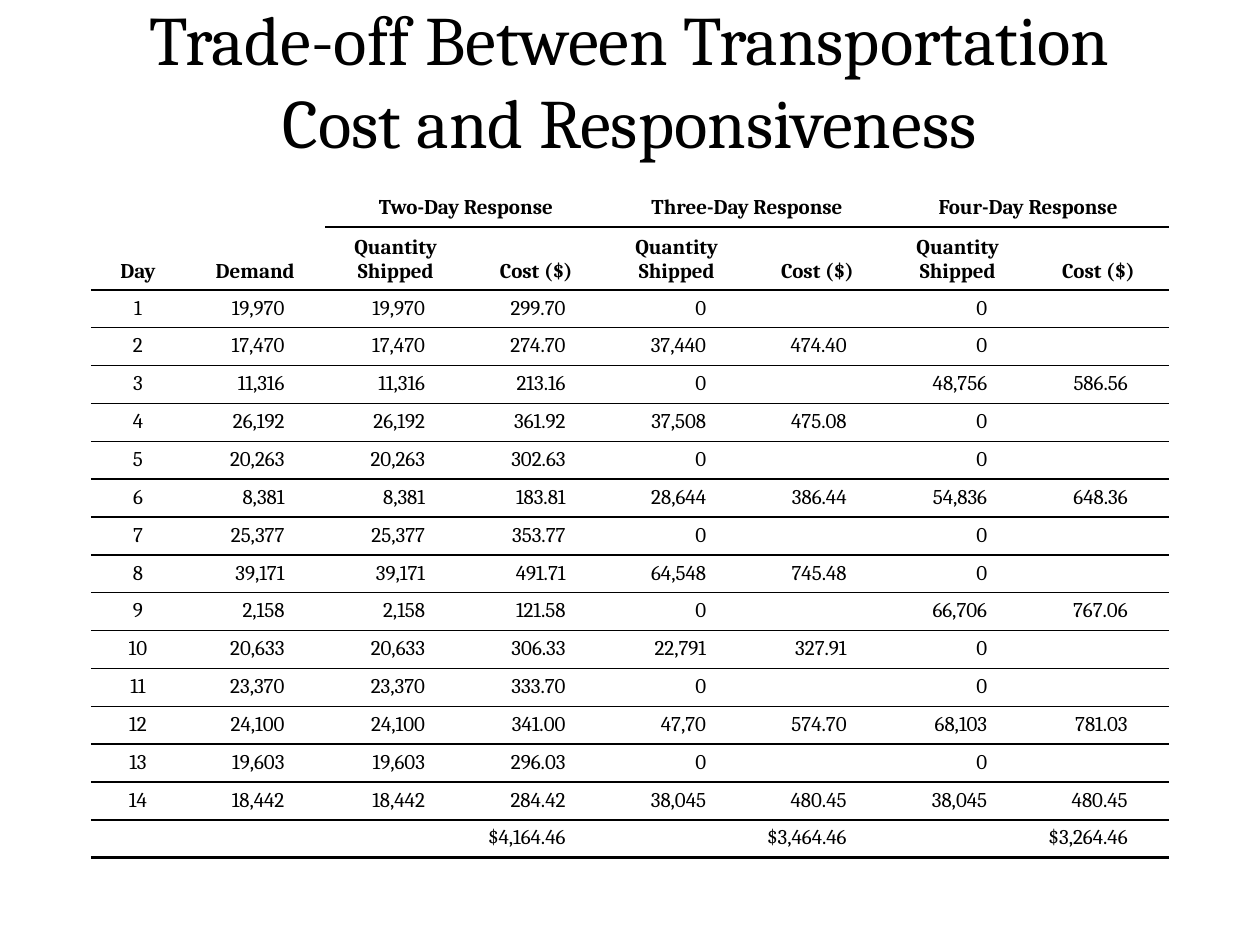
from lxml import etree
from pptx import Presentation, util as u
from pptx.dml import color
from pptx.enum import text
from pptx.oxml import ns

PX = u.Inches(1) / 126
FONT, BLACK = "Cambria", "000000"
ALIGN, ANCHOR = text.PP_ALIGN, text.MSO_ANCHOR
TITLE = "Trade-off Between Transportation Cost and Responsiveness"
GROUPS = ("Two-Day Response", "Three-Day Response", "Four-Day Response")
HEADS = ["Day", "Demand"] + ["Quantity Shipped", "Cost ($)"] * len(GROUPS)
# Demand and two-day quantity are equal, so each row gives them once:
# demand, two-day cost, three-day quantity and cost, four-day quantity and cost
DAYS = [
    ("19,970", "299.70", "0", "", "0", ""),
    ("17,470", "274.70", "37,440", "474.40", "0", ""),
    ("11,316", "213.16", "0", "", "48,756", "586.56"),
    ("26,192", "361.92", "37,508", "475.08", "0", ""),
    ("20,263", "302.63", "0", "", "0", ""),
    ("8,381", "183.81", "28,644", "386.44", "54,836", "648.36"),
    ("25,377", "353.77", "0", "", "0", ""),
    ("39,171", "491.71", "64,548", "745.48", "0", ""),
    ("2,158", "121.58", "0", "", "66,706", "767.06"),
    ("20,633", "306.33", "22,791", "327.91", "0", ""),
    ("23,370", "333.70", "0", "", "0", ""),
    ("24,100", "341.00", "47,70", "574.70", "68,103", "781.03"),
    ("19,603", "296.03", "0", "", "0", ""),
    ("18,442", "284.42", "38,045", "480.45", "38,045", "480.45"),
]
TOTALS = ["", "", "", "$4,164.46", "", "$3,464.46", "", "$3,264.46"]


def px(n):
    return u.Emu(round(n * PX))


def rgb(value):
    return color.RGBColor.from_string(value)


def write(p, words, size, bold=False, align=ALIGN.CENTER):
    p.alignment = align
    r = p.add_run()
    r.text = words
    for name, value in {"name": FONT, "size": u.Pt(size), "bold": bold}.items():
        setattr(r.font, name, value)
    r.font.color.rgb = rgb(BLACK)


def add_title(s, x, y, w, h):
    tf = s.shapes.add_textbox(px(x), px(y), px(w), px(h)).text_frame
    tf.word_wrap = True
    tf.vertical_anchor = ANCHOR.MIDDLE
    write(tf.paragraphs[0], TITLE, 39.6)


def set_borders(cell, top, bottom):
    """Rule the top and bottom edges in points; 0 leaves an edge bare."""
    tc_pr = cell._tc.get_or_add_tcPr()
    edges = {"L": 0, "R": 0, "T": top, "B": bottom}
    for i, (edge, width) in enumerate(edges.items()):
        ln = etree.Element(ns.qn(f"a:ln{edge}"), w=str(u.Pt(width)))
        if width:
            fill = etree.SubElement(ln, ns.qn("a:solidFill"))
            etree.SubElement(fill, ns.qn("a:srgbClr"), val=BLACK)
        else:
            etree.SubElement(ln, ns.qn("a:noFill"))
        tc_pr.insert(i, ln)


def rule_below(row, col, last):
    if row < 0 or (row == 0 and col < 2):
        return 0
    if row < 2:
        return 1.5
    return 2.25 if row == last else 1


def add_cost_table(s, x, y, w, h):
    group_row = ["", ""] + [label for g in GROUPS for label in (g, "")]
    day_rows = [[str(n), d[0], *d] for n, d in enumerate(DAYS, 1)]
    rows = [group_row, HEADS, *day_rows, TOTALS]
    last = len(rows) - 1
    table = s.shapes.add_table(len(rows), len(HEADS), px(x), px(y), px(w), px(h)).table
    table.first_row = table.horz_banding = False
    day_w = 94
    table.columns[0].width = px(day_w)
    for col in range(1, len(HEADS)):
        table.columns[col].width = px((w - day_w) / (len(HEADS) - 1))
    for row in table.rows:
        row.height = px(34)
    for i, values in enumerate(rows):
        for j, value in enumerate(values):
            cell = table.cell(i, j)
            cell.fill.background()
            set_borders(cell, rule_below(i - 1, j, last), rule_below(i, j, last))
            if i == 1:
                cell.vertical_anchor = ANCHOR.BOTTOM
            numeric = i > 1 and j > 0
            if numeric:
                cell.margin_right = px(41)
            p = cell.text_frame.paragraphs[0]
            if value:
                write(p, value, 12, i < 2, ALIGN.RIGHT if numeric else ALIGN.CENTER)
            else:
                etree.SubElement(p._p, ns.qn("a:endParaRPr"), sz="1200")
    for col in range(2, len(HEADS), 2):
        table.cell(0, col).merge(table.cell(0, col + 1))


def main():
    prs = Presentation()
    prs.slide_width, prs.slide_height = px(1260), px(945)
    s = prs.slides.add_slide(prs.slide_layouts[6])
    add_title(s, 94, 0, 1071, 158)
    add_cost_table(s, 91, 189, 1078, 578)
    prs.save("out.pptx")


if __name__ == "__main__":
    main()
